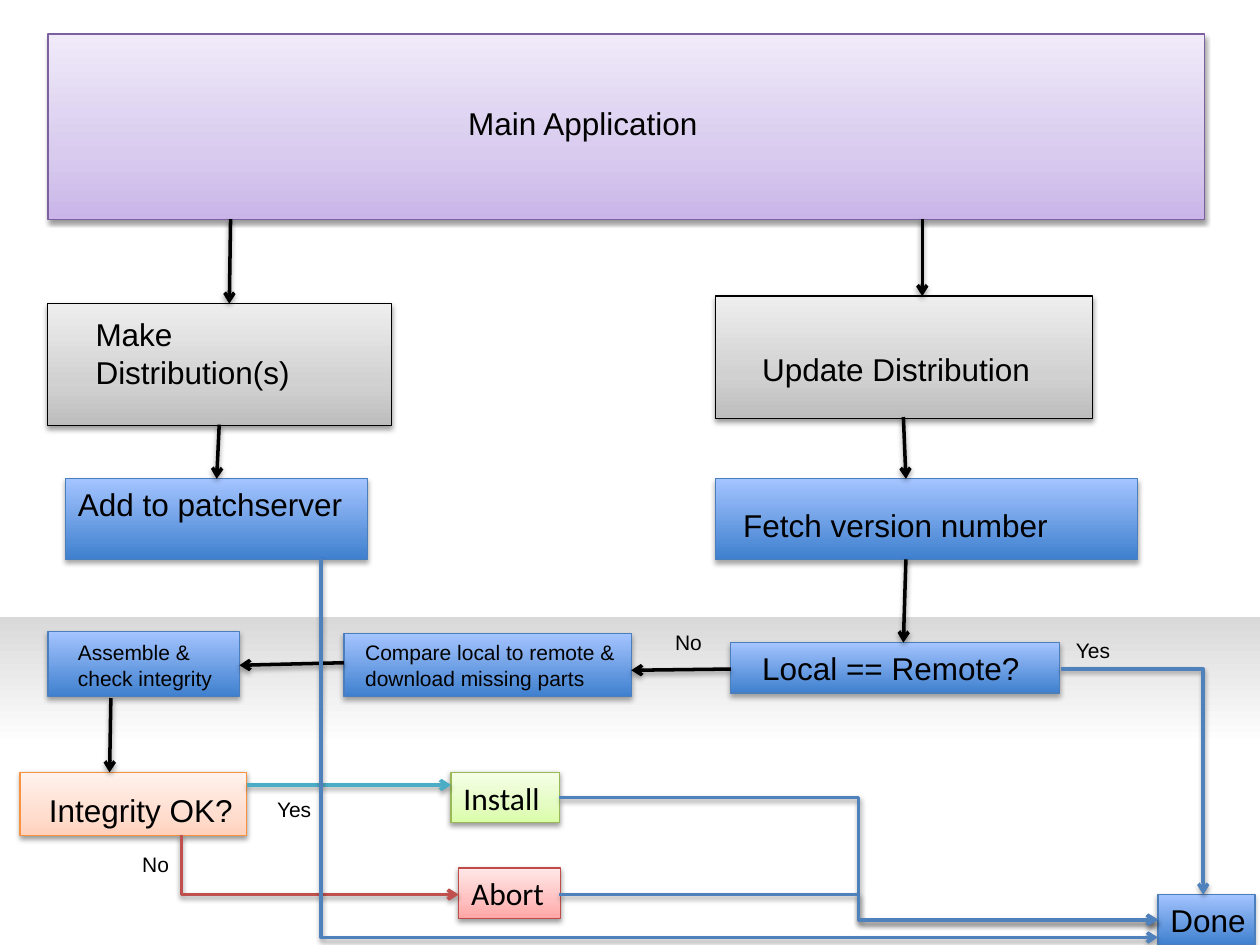
"""Build the flowchart slide of an application that makes and updates distributions."""
import copy

import pptx
import pptx.dml.color
import pptx.enum.shapes
import pptx.enum.text
import pptx.oxml
import pptx.oxml.ns
import pptx.util
from lxml import etree

Inches = pptx.util.Inches
Pt = pptx.util.Pt
RGB = pptx.dml.color.RGBColor
qn = pptx.oxml.ns.qn
PP_ALIGN = pptx.enum.text.PP_ALIGN
CONNECTOR = pptx.enum.shapes.MSO_CONNECTOR
RECTANGLE = pptx.enum.shapes.MSO_SHAPE.RECTANGLE

BLACK = RGB(0x00, 0x00, 0x00)
WHITE = RGB(0xFF, 0xFF, 0xFF)
FLOOR_GRAY = RGB(0xD9, 0xD9, 0xD9)
FLOW_BLUE = RGB(0x4F, 0x81, 0xBD)
FLOW_RED = RGB(0xC0, 0x50, 0x4D)
FLOW_TEAL = RGB(0x4B, 0xAC, 0xC6)
STEP_EDGE = RGB(0x4B, 0x7E, 0xBC)
CHECK_EDGE = RGB(0xF6, 0x92, 0x40)
APP_EDGE = RGB(0x7D, 0x60, 0xA0)
INSTALL_EDGE = RGB(0x98, 0xB9, 0x55)
ABORT_EDGE = RGB(0xBF, 0x4C, 0x48)


def three_stops(low, middle, high):
    return [(0, low), (0.35, middle), (1, high)]


FLOOR = [(0, WHITE), (0.61, WHITE), (1, FLOOR_GRAY)]
STEP = [(0, RGB(0x3F, 0x80, 0xCE)), (1, RGB(0xA4, 0xC4, 0xFF))]
CHECK = three_stops(RGB(0xFF, 0xD2, 0xBD), RGB(0xFF, 0xDE, 0xD0), RGB(0xFF, 0xF2, 0xED))
APP = three_stops(RGB(0xC9, 0xB5, 0xE8), RGB(0xD8, 0xCB, 0xEE), RGB(0xF0, 0xEA, 0xF9))
ACTION = three_stops(RGB(0xBD, 0xBD, 0xBD), RGB(0xD1, 0xD1, 0xD1), RGB(0xEE, 0xEE, 0xEE))
INSTALL = three_stops(RGB(0xDA, 0xFD, 0xA7), RGB(0xE4, 0xFC, 0xC2), RGB(0xF5, 0xFF, 0xE7))
ABORT = three_stops(RGB(0xFF, 0xA6, 0xA5), RGB(0xFF, 0xC0, 0xBF), RGB(0xFF, 0xE7, 0xE7))

BOXES = [
    ((0.16, 6.13, 1.8, 0.5), CHECK, CHECK_EDGE),
    ((0.38, 5.01, 1.52, 0.52), STEP, STEP_EDGE),
    ((2.73, 5.03, 2.28, 0.5), STEP, STEP_EDGE),
    ((9.19, 7.1, 0.77, 0.4), STEP, STEP_EDGE),
    ((5.8, 5.1, 2.61, 0.4), STEP, STEP_EDGE),
    ((0.38, 0.27, 9.18, 1.47), APP, APP_EDGE),
    ((0.38, 2.41, 2.73, 0.97), ACTION, BLACK),
    ((5.68, 2.35, 2.99, 0.97), ACTION, BLACK),
    ((0.52, 3.8, 2.4, 0.64), STEP, STEP_EDGE),
    ((5.68, 3.8, 3.35, 0.64), STEP, STEP_EDGE),
]
OUTCOMES = [
    ("Install", (3.58, 6.13, 0.86, 0.4), INSTALL, INSTALL_EDGE),
    ("Abort", (3.64, 6.89, 0.81, 0.4), ABORT, ABORT_EDGE),
]
LABELS = [
    ("Main Application", (3.58, 0.78, 2.09, 0.4), 18, True, PP_ALIGN.CENTER),
    ("Make Distribution(s)", (0.66, 2.45, 2.15, 0.71), 18, True, PP_ALIGN.LEFT),
    ("Update Distribution", (5.95, 2.73, 2.61, 0.4), 18, True, PP_ALIGN.LEFT),
    ("Add to patchserver", (0.52, 3.8, 2.4, 0.4), 18, True, PP_ALIGN.LEFT),
    ("Fetch version number", (5.8, 3.97, 3.09, 0.4), 18, True, PP_ALIGN.LEFT),
    ("Local == Remote?", (5.95, 5.1, 2.72, 0.4), 18, True, PP_ALIGN.LEFT),
    ("Done", (9.19, 7.1, 0.81, 0.4), 18, False, PP_ALIGN.LEFT),
    ("Yes", (8.44, 5.01, 0.48, 0.3), 12, False, PP_ALIGN.LEFT),
    ("No", (5.26, 4.95, 0.42, 0.3), 12, False, PP_ALIGN.LEFT),
    ("Compare local to remote & download missing parts", (2.8, 5.03, 2.21, 0.5), 12, True,
     PP_ALIGN.LEFT),
    ("Assemble & \ncheck integrity", (0.52, 5.03, 1.38, 0.5), 12, True, PP_ALIGN.LEFT),
    ("Integrity OK?", (0.29, 6.23, 1.67, 0.4), 18, False, PP_ALIGN.LEFT),
    ("No", (1.03, 6.71, 0.42, 0.3), 12, False, PP_ALIGN.LEFT),
    ("Yes", (2.1, 6.27, 0.48, 0.3), 12, False, PP_ALIGN.LEFT),
]
STRAIGHT_ARROWS = [
    ((1.83, 1.74, 1.82, 2.41), BLACK),
    ((7.32, 1.74, 7.32, 2.35), BLACK),
    ((1.74, 3.37, 1.72, 3.8), BLACK),
    ((5.8, 5.31, 5.01, 5.32), BLACK),
    ((2.73, 5.26, 1.9, 5.28), BLACK),
    ((7.17, 3.31, 7.19, 3.8), BLACK),
    ((7.19, 4.44, 7.17, 5.1), BLACK),
    ((0.88, 5.54, 0.87, 6.13), BLACK),
    ((1.96, 6.23, 3.58, 6.23), FLOW_TEAL),
]
BENT_ARROWS = [
    ((8.42, 5.31, 9.55, 7.1), FLOW_BLUE, None),
    ((1.44, 6.63, 3.64, 7.1), FLOW_RED, 0),
    ((4.44, 6.33, 9.19, 7.3), FLOW_BLUE, 0.5),
    ((4.44, 7.1, 9.19, 7.3), FLOW_BLUE, 0.5),
    ((2.55, 4.44, 9.19, 7.44), FLOW_BLUE, 0),
]


def apply_format(target, values):
    for attribute, value in values.items():
        setattr(target, attribute, value)


def add_shadow(effects, distance=1.6, opacity=38):
    shadow = etree.SubElement(effects, qn("a:outerShdw"), blurRad=str(Pt(3.1)),
                              dist=str(Pt(distance)), dir="5400000", rotWithShape="0")
    color = etree.SubElement(shadow, qn("a:srgbClr"), val=str(BLACK))
    etree.SubElement(color, qn("a:alpha"), val=str(opacity * 1000))


def fill_gradient(shape, stops):
    shape.fill.gradient()
    shape.fill.gradient_angle = 90
    stop_list = next(shape._element.iter(qn("a:gsLst")))
    for _ in stops[2:]:
        stop_list.append(copy.deepcopy(stop_list[0]))
    for stop, (position, color) in zip(shape.fill.gradient_stops, stops):
        stop.position = position
        stop.color.rgb = color


def add_box(slide, place, stops, edge=None):
    box = slide.shapes.add_shape(RECTANGLE, *map(Inches, place))
    fill_gradient(box, stops)
    box.shadow.inherit = False
    if edge is None:
        box.line.fill.background()
        return box
    box.line.color.rgb = edge
    box.line.width = Pt(0.75)
    effects = box._element.spPr.find(qn("a:effectLst"))
    add_shadow(effects, *((1.8, 35) if stops is STEP else ()))
    return box


def write_text(frame, text, size, wrap, align, font):
    frame.text = text
    apply_format(frame, {
        "word_wrap": wrap,
        "auto_size": pptx.enum.text.MSO_AUTO_SIZE.SHAPE_TO_FIT_TEXT,
        "vertical_anchor": pptx.enum.text.MSO_ANCHOR.TOP,
    })
    for paragraph in frame.paragraphs:
        paragraph.alignment = align
        for run in paragraph.runs:
            apply_format(run.font, {"name": font, "size": Pt(size)})
            run.font.color.rgb = BLACK


def add_label(slide, text, place, size, wrap, align):
    label = slide.shapes.add_textbox(*map(Inches, place))
    write_text(label.text_frame, text, size, wrap, align, "Arial")


def add_arrow(slide, ends, color, kind=CONNECTOR.STRAIGHT):
    arrow = slide.shapes.add_connector(kind, *map(Inches, ends))
    arrow.line.color.rgb = color
    arrow.line.width = Pt(2)
    properties = arrow._element.spPr
    etree.SubElement(properties.find(qn("a:ln")), qn("a:tailEnd"), type="arrow")
    add_shadow(etree.SubElement(properties, qn("a:effectLst")))
    return arrow


def add_bent_arrow(slide, ends, color, bend):
    arrow = add_arrow(slide, ends, color, CONNECTOR.ELBOW)
    geometry = arrow._element.spPr.find(qn("a:prstGeom"))
    if bend is None:
        geometry.set("prst", "bentConnector2")
        return
    guides = geometry.find(qn("a:avLst"))
    etree.SubElement(guides, qn("a:gd"), name="adj1", fmla=f"val {round(bend * 100000)}")


def main():
    deck = pptx.Presentation()
    apply_format(deck, {"slide_width": Inches(10), "slide_height": Inches(7.5)})
    slide = deck.slides.add_slide(deck.slide_layouts[6])
    add_box(slide, (0, 4.9, 10, 2.6), FLOOR)
    for box in BOXES:
        add_box(slide, *box)
    for text, place, stops, edge in OUTCOMES:
        outcome = add_box(slide, place, stops, edge)
        write_text(outcome.text_frame, text, 18, False, PP_ALIGN.LEFT, "Calibri")
    for label in LABELS:
        add_label(slide, *label)
    for arrow in STRAIGHT_ARROWS:
        add_arrow(slide, *arrow)
    for arrow in BENT_ARROWS:
        add_bent_arrow(slide, *arrow)
    deck.save("out.pptx")


main()
